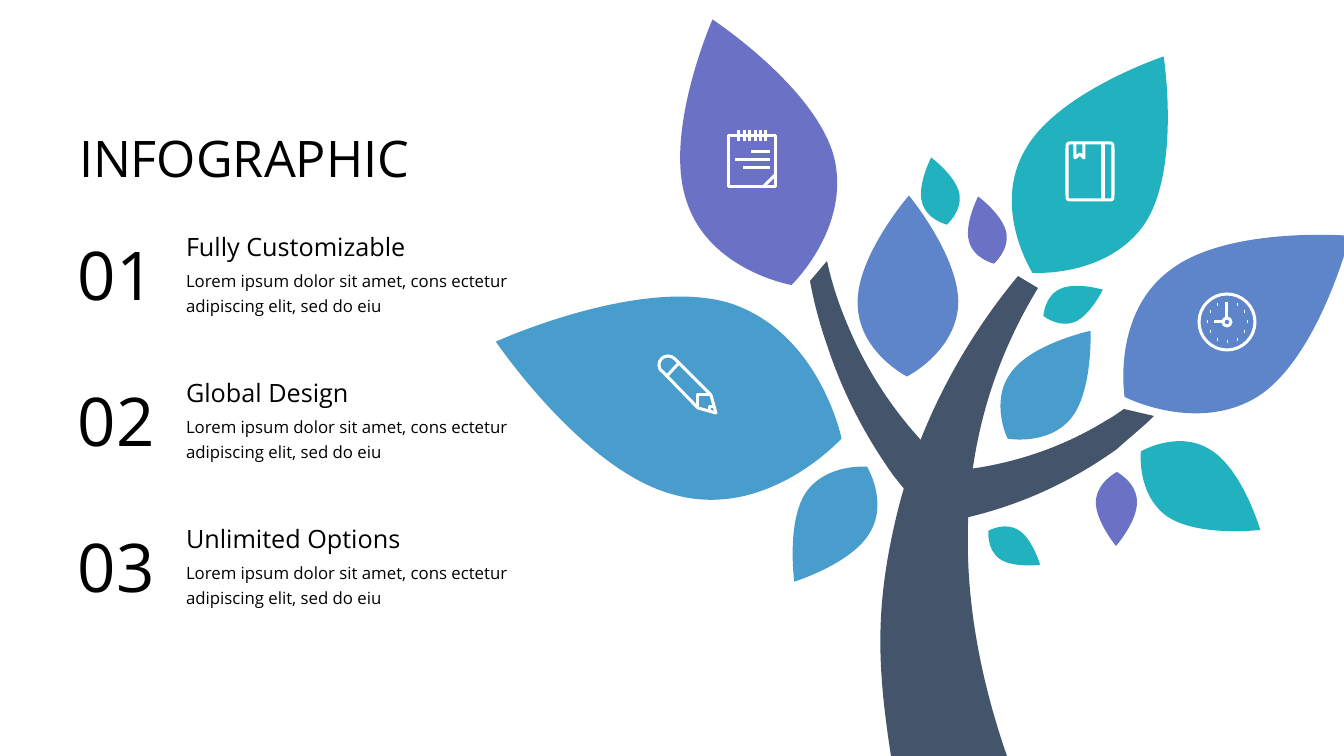
from dataclasses import dataclass
from math import cos, pi, sin

from lxml import etree
from pptx import Presentation
from pptx import util as u
from pptx.dml.color import RGBColor
from pptx.enum import text as t


@dataclass(frozen=True)
class Theme:
    font: str = "Open Sans"
    ink: str = "000000"
    white: str = "FFFFFF"
    bark: str = "44546A"
    sky: str = "499DCC"
    blue: str = "5E85CA"
    violet: str = "6B71C5"
    teal: str = "22B1BF"
    title: int = 36
    number: int = 48
    heading: int = 18
    body: int = 12


THEME = Theme()
EMU_PER_PX = 914400 / 100.8
DRAWING = "{http://schemas.openxmlformats.org/drawingml/2006/main}"
STROKE = 3

LEAF_WIDTH, LEAF_LENGTH = 102, 180
LEAF = [
    (52, 0), (52, 0, 0, 60, 1, 107), (1, 155, 50, 180, 50, 180),
    (50, 180, 98, 156, 101, 109), (103, 62, 52, 0, 52, 0),
]
LEAVES = [
    (188, 389, 359, 285, THEME.sky),
    (428, 286, 181, 0, THEME.blue),
    (272, 152, 277, 342.8, THEME.violet),
    (757, 317, 277, 53.8, THEME.blue),
    (569, 385, 136, 36.9, THEME.sky),
    (350, 524, 136, 211.7, THEME.sky),
    (720, 491, 143, 122.7, THEME.teal),
    (618, 165, 253, 30.6, THEME.teal),
    (534, 548, 62, 122.7, THEME.teal),
    (636, 509, 74, 180, THEME.violet),
    (506, 230, 69, 346.2, THEME.violet),
    (593, 303, 65, 65.4, THEME.teal),
    (459, 191, 69, 346.2, THEME.teal),
]
TRUNK = [
    (558, 288), (466, 439, 474, 603, 527, 756), (411, 756),
    (397, 666, 395, 607, 416, 518), (437, 429, 480, 346, 538, 276),
]
RIGHT_BRANCH = [
    (627, 420), (633, 417, 638, 413, 644, 409), (674, 416),
    (662, 428, 649, 438, 637, 449), (581, 489, 523, 512, 460, 523),
    (458, 472), (515, 469, 574, 453, 627, 420),
]
LEFT_BRANCH = [
    (347, 261), (352, 284, 359, 305, 368, 326), (386, 369, 411, 407, 439, 438),
    (447, 447, 456, 456, 466, 463), (446, 515), (435, 502, 424, 489, 413, 475),
    (386, 437, 363, 394, 347, 345), (340, 325, 334, 303, 330, 281),
]
BODY = "Lorem ipsum dolor sit amet, cons ectetur adipiscing elit, sed do eiu"
HEADINGS = ["Fully Customizable", "Global Design", "Unlimited Options"]
ITEM_PITCH = 146


def px(length):
    return u.Emu(round(length * EMU_PER_PX))


def bend(shape, outlines):
    contour = shape._element.find(f".//{DRAWING}path")
    segments = iter(contour.findall(f"{DRAWING}lnTo"))
    for outline, _ in outlines:
        for step in outline[1:]:
            segment = next(segments)
            if len(step) == 6:
                segment.tag = f"{DRAWING}cubicBezTo"
                for extra in (next(segments), next(segments)):
                    segment.append(extra[0])
                    contour.remove(extra)


def draw(shapes, origin, outlines, fill=None, stroke=None, scale=1, angle=0):
    builder = None
    for outline, closed in outlines:
        points = [(px(origin[0] + step[i] * scale), px(origin[1] + step[i + 1] * scale))
                  for step in outline for i in range(0, len(step), 2)]
        if builder is None:
            builder = shapes.build_freeform(*points[0], scale=1.0)
        else:
            builder.move_to(*points[0])
        builder.add_line_segments(points[1:], close=closed)
    shape = builder.convert_to_shape()
    bend(shape, outlines)
    shape.shadow.inherit = False
    shape.rotation = angle
    if fill:
        shape.fill.solid()
        shape.fill.fore_color.rgb = RGBColor.from_string(fill)
    else:
        shape.fill.background()
    if stroke:
        shape.line.color.rgb = RGBColor.from_string(stroke)
        shape.line.width = px(STROKE)
        etree.SubElement(shape.line._get_or_add_ln(), f"{DRAWING}round")
    else:
        shape.line.fill.background()


def write(page, box, words, size, spacing=None):
    frame = page.shapes.add_textbox(*map(px, box)).text_frame
    frame.word_wrap = True
    frame.vertical_anchor = t.MSO_ANCHOR.TOP
    frame.margin_left = frame.margin_right = frame.margin_top = frame.margin_bottom = 0
    para = frame.paragraphs[0]
    if spacing:
        para.line_spacing = spacing
    span = para.add_run()
    span.text = words
    span.font.name = THEME.font
    span.font.size = u.Pt(size)
    span.font.color.rgb = RGBColor.from_string(THEME.ink)


def circle(x, y, r):
    k = 0.55 * r
    return [
        (x, y - r), (x + k, y - r, x + r, y - k, x + r, y),
        (x + r, y + k, x + k, y + r, x, y + r),
        (x - k, y + r, x - r, y + k, x - r, y),
        (x - r, y - k, x - k, y - r, x, y - r),
    ]


def rounded(left, top, right, bottom, r):
    return [
        (left + r, top), (right - r, top), (right, top, right, top, right, top + r),
        (right, bottom - r), (right, bottom, right, bottom, right - r, bottom),
        (left + r, bottom), (left, bottom, left, bottom, left, bottom - r),
        (left, top + r), (left, top, left, top, left + r, top),
    ]


def clock():
    hours = [pi / 6 * hour for hour in range(1, 12)]
    dots = [(30 + 20 * sin(a), 30 - 20 * cos(a)) for a in hours]
    return [(circle(30, 30, 28), True), (circle(30, 30, 4), True),
            ([(30, 10), (30, 26)], False), ([(17, 30), (26, 30)], False),
            *[([(x - 0.1, y), (x + 0.1, y)], False) for x, y in dots]]


def book():
    return [(rounded(1, 1, 47, 58, 5), True), ([(37, 1), (37, 58)], False),
            ([(9, 1), (9, 16), (14, 12), (18, 16), (18, 1)], False)]


def notepad():
    rings = [11 + 5.4 * index for index in range(6)]
    rules = [(23, 23), (7, 31), (15, 39)]
    return [([(1, 7), (48, 7), (48, 58), (1, 58)], True), ([(35, 58), (48, 45)], False),
            *[([(x, 1), (x, 12)], False) for x in rings],
            *[([(x, y), (42, y)], False) for x, y in rules]]


def pencil():
    return [([(5, 17), (2, 15, 1, 13, 1, 10), (1, 5, 5, 1, 10, 1),
              (13, 1, 15, 2, 17, 4), (53, 40), (58, 58), (40, 53)], True),
            ([(9, 21), (20, 9)], False), ([(40, 53), (40, 40), (53, 40)], False),
            ([(52, 55), (52, 52), (55, 52)], False)]


def add_tree(page, box):
    left, top = box[:2]
    tree = page.shapes.add_group_shape().shapes
    for outline in (TRUNK, RIGHT_BRANCH, LEFT_BRANCH):
        draw(tree, (left, top), [(outline, True)], fill=THEME.bark)
    for x, y, length, angle, color in LEAVES:
        scale = length / LEAF_LENGTH
        corner = (left + x - LEAF_WIDTH * scale / 2, top + y - length / 2)
        draw(tree, corner, [(LEAF, True)], fill=color, scale=scale, angle=angle)
    icons = [(717, 292, clock), (586, 142, book), (248, 129, notepad), (178, 355, pencil)]
    for x, y, icon in icons:
        draw(tree, (left + x, top + y), icon(), stroke=THEME.white)


def add_item(page, box, number, heading):
    left, top, width = box[:3]
    write(page, (left, top + 2, 90, 82), f"{number:02}", THEME.number)
    write(page, (left + 108, top, width - 108, 30), heading, THEME.heading)
    write(page, (left + 108, top + 35, width - 108, 50), BODY, THEME.body, spacing=1.25)


def add_list(page, box):
    left, top, width = box[:3]
    write(page, (left + 1, top, width, 61), "INFOGRAPHIC", THEME.title)
    for index, heading in enumerate(HEADINGS):
        item = (left, top + 104 + index * ITEM_PITCH, width, 85)
        add_item(page, item, index + 1, heading)


def main():
    deck = Presentation()
    deck.slide_width, deck.slide_height = px(1344), px(756)
    page = deck.slides.add_slide(deck.slide_layouts[6])
    add_tree(page, (480, 0, 864, 756))
    add_list(page, (78, 127, 438, 481))
    deck.save("out.pptx")


if __name__ == "__main__":
    main()
